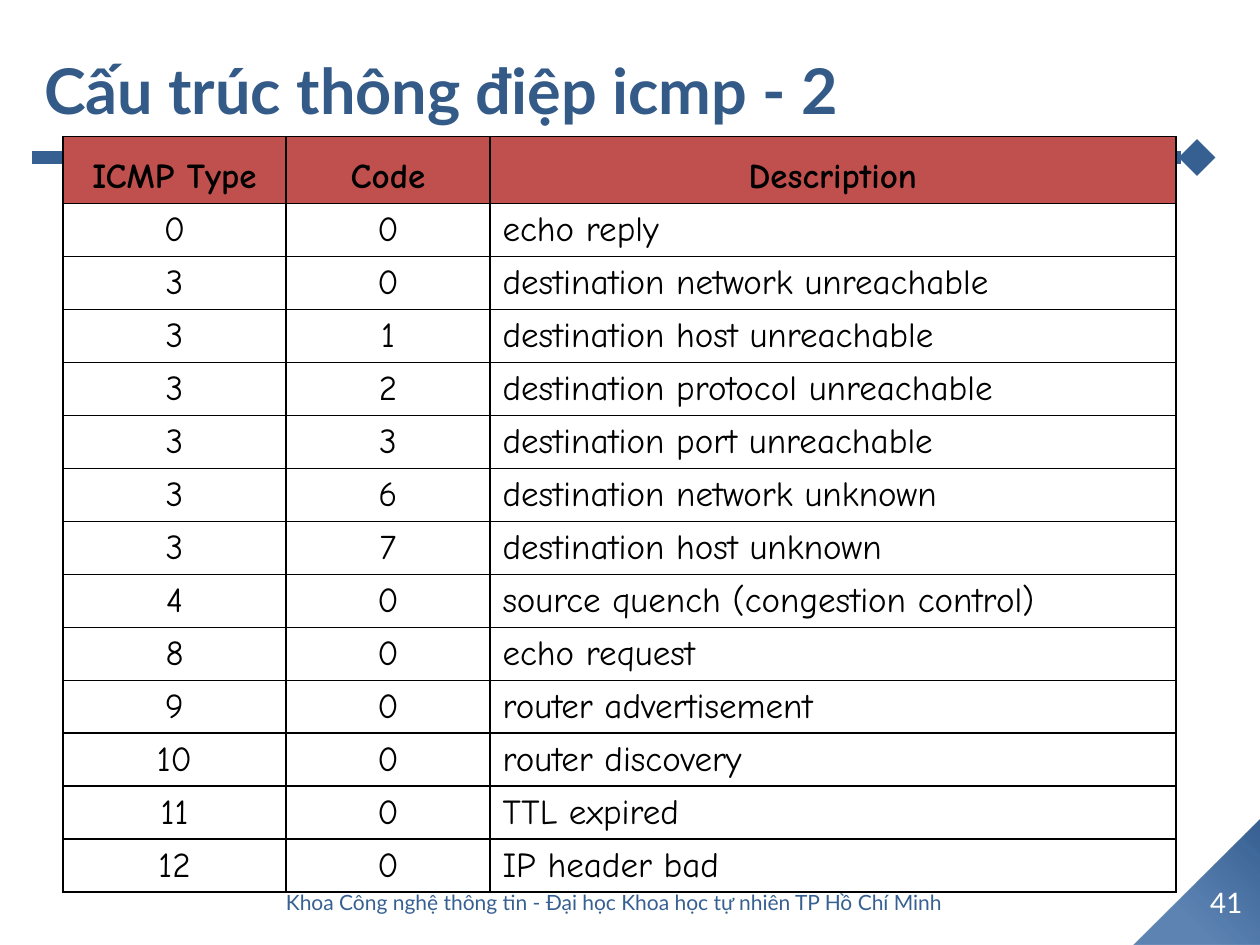
from lxml.etree import SubElement
from pptx import Presentation
from pptx.dml.color import RGBColor
from pptx.enum.shapes import MSO_CONNECTOR, MSO_SHAPE
from pptx.enum.text import MSO_ANCHOR, PP_ALIGN
from pptx.oxml import parse_xml
from pptx.oxml.ns import nsdecls, qn
from pptx.util import Pt

COLORS = {
    "title": "345A88",
    "accent": "376092",
    "corner_light": "3D6CA4",
    "header": "C0504D",
    "ink": "000000",
    "white": "FFFFFF",
}
HEADINGS = ("ICMP Type", "Code", "Description")
MESSAGES = [
    (0, 0, "echo reply"),
    (3, 0, "destination network unreachable"),
    (3, 1, "destination host unreachable"),
    (3, 2, "destination protocol unreachable"),
    (3, 3, "destination port unreachable"),
    (3, 6, "destination network unknown"),
    (3, 7, "destination host unknown"),
    (4, 0, "source quench (congestion control)"),
    (8, 0, "echo request"),
    (9, 0, "router advertisement"),
    (10, 0, "router discovery"),
    (11, 0, "TTL expired"),
    (12, 0, "IP header bad"),
]
COLUMN_WIDTHS = (127.5, 116.5, 392)
HEADER_HEIGHT, ROW_HEIGHT = 38.25, 30.25


def rgb(name):
    return RGBColor.from_string(COLORS[name])


def write(frame, text, font, size, color, align, bold=False):
    paragraph = frame.paragraphs[0]
    paragraph.alignment = align
    run = paragraph.add_run()
    run.text = text
    run.font.name = font
    run.font.size = Pt(size)
    run.font.bold = bold
    run.font.color.rgb = rgb(color)
    return paragraph


def add_corner(slide):
    """Triangle in the lower right corner with a radial gradient."""
    corner = slide.shapes.add_shape(
        MSO_SHAPE.RIGHT_TRIANGLE, Pt(648), Pt(468), Pt(72), Pt(72))
    corner.rotation = 270
    corner.shadow.inherit = False
    corner.line.fill.background()
    gradient = parse_xml(
        f'<a:gradFill {nsdecls("a")} rotWithShape="1"><a:gsLst>'
        f'<a:gs pos="0"><a:srgbClr val="{COLORS["accent"]}"/></a:gs>'
        f'<a:gs pos="68000"><a:srgbClr val="{COLORS["corner_light"]}">'
        '<a:alpha val="83000"/></a:srgbClr></a:gs></a:gsLst>'
        '<a:path path="circle"><a:fillToRect l="100000" b="100000"/></a:path>'
        '</a:gradFill>')
    corner._element.spPr.find(qn("a:prstGeom")).addnext(gradient)


def add_title_rule(slide):
    rule = slide.shapes.add_connector(
        MSO_CONNECTOR.STRAIGHT, Pt(18), Pt(90), Pt(684), Pt(90))
    rule.line.color.rgb = rgb("accent")
    rule.line.width = Pt(7)
    SubElement(rule.line._get_or_add_ln(), qn("a:tailEnd"), type="diamond")
    SubElement(rule._element.spPr, qn("a:effectLst"))


def set_title(slide, text):
    title = slide.shapes.title
    title.left, title.top, title.width, title.height = (
        Pt(18), Pt(6), Pt(689), Pt(90))
    title.text_frame.vertical_anchor = MSO_ANCHOR.MIDDLE
    write(title.text_frame, text, "Lato", 36, "title", PP_ALIGN.LEFT, True)


def set_borders(cell):
    properties = cell._tc.get_or_add_tcPr()
    for position, side in enumerate(("lnL", "lnR", "lnT", "lnB")):
        properties.insert(position, parse_xml(
            f'<a:{side} {nsdecls("a")} w="12700"><a:solidFill>'
            f'<a:srgbClr val="{COLORS["ink"]}"/></a:solidFill></a:{side}>'))


def fill_cell(cell, text, align, heading):
    cell.vertical_anchor = MSO_ANCHOR.BOTTOM
    if heading:
        cell.fill.solid()
        cell.fill.fore_color.rgb = rgb("header")
    else:
        cell.fill.background()
    set_borders(cell)
    paragraph = write(
        cell.text_frame, text, "Comic Neue", 20, "ink", align, heading)
    properties = paragraph._p.get_or_add_pPr()
    properties.set("marL", str(Pt(27)))
    properties.set("indent", str(-Pt(27)))


def add_message_table(slide):
    rows = [HEADINGS, *MESSAGES]
    height = HEADER_HEIGHT + ROW_HEIGHT * len(MESSAGES)
    table = slide.shapes.add_table(
        len(rows), len(HEADINGS), Pt(36), Pt(78),
        Pt(sum(COLUMN_WIDTHS)), Pt(height)).table
    for column, width in zip(table.columns, COLUMN_WIDTHS):
        column.width = Pt(width)
    for r, values in enumerate(rows):
        heading = r == 0
        table.rows[r].height = Pt(HEADER_HEIGHT if heading else ROW_HEIGHT)
        for c, value in enumerate(values):
            centred = heading or c < 2
            align = PP_ALIGN.CENTER if centred else PP_ALIGN.LEFT
            fill_cell(table.cell(r, c), str(value), align, heading)


def add_label(slide, text, left, top, width, height, font, size, color):
    label = slide.shapes.add_textbox(Pt(left), Pt(top), Pt(width), Pt(height))
    label.text_frame.word_wrap = True
    label.text_frame.vertical_anchor = MSO_ANCHOR.MIDDLE
    write(label.text_frame, text, font, size, color, PP_ALIGN.CENTER)


def main():
    deck = Presentation()
    deck.slide_width, deck.slide_height = Pt(720), Pt(540)
    slide = deck.slides.add_slide(deck.slide_layouts[5])
    add_corner(slide)
    add_title_rule(slide)
    set_title(slide, "Cấu trúc thông điệp icmp - 2")
    add_message_table(slide)
    add_label(slide, "41", 681, 500, 39, 29, "Calibri", 18, "white")
    add_label(
        slide,
        "Khoa Công nghệ thông tin - Đại học Khoa học tự nhiên TP Hồ Chí Minh",
        90, 501, 522, 29, "Lato", 12, "accent")
    deck.save("out.pptx")


if __name__ == "__main__":
    main()
